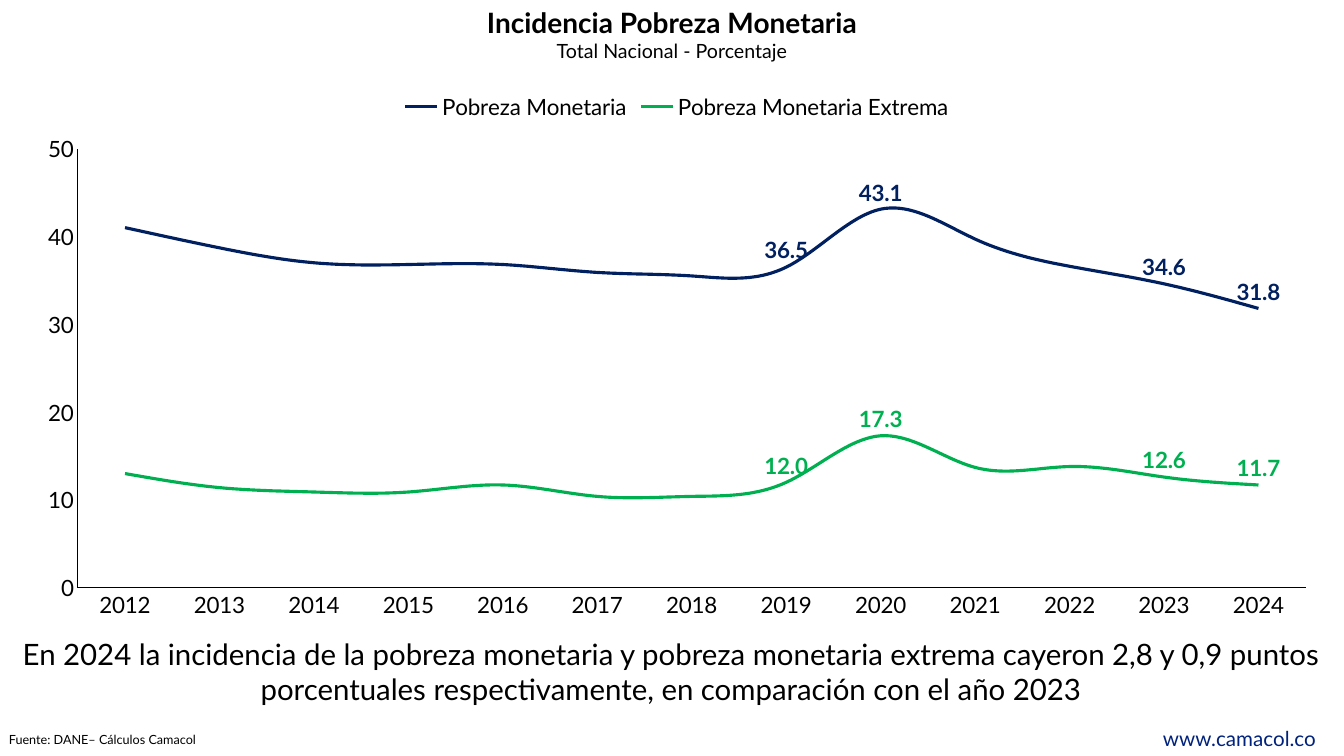
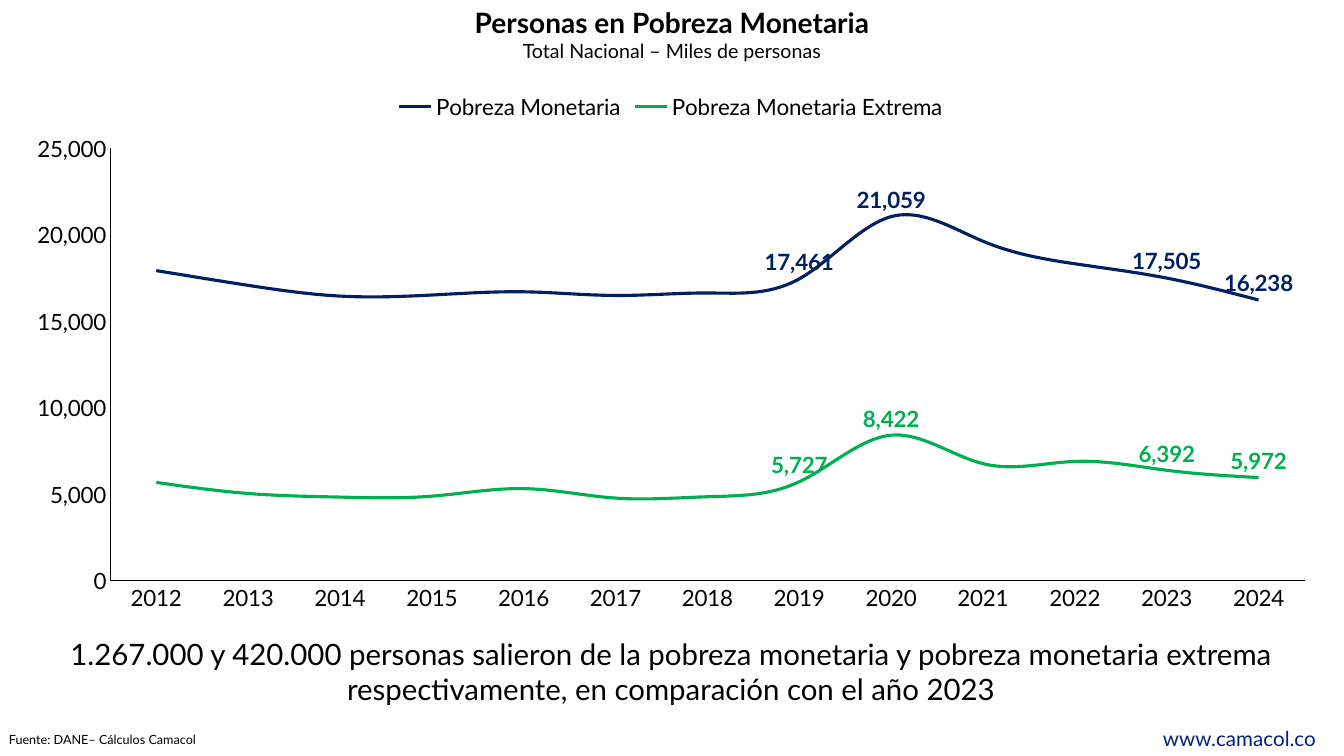
from pptx import Presentation
from pptx.chart.data import CategoryChartData
from pptx.dml.color import RGBColor
from pptx.enum.chart import XL_CHART_TYPE, XL_LABEL_POSITION, XL_LEGEND_POSITION, XL_TICK_MARK
from pptx.enum.text import MSO_ANCHOR, MSO_AUTO_SIZE, PP_ALIGN
from pptx.util import Emu, Pt

LINE = XL_CHART_TYPE.LINE
ABOVE = XL_LABEL_POSITION.ABOVE
LEGEND_TOP = XL_LEGEND_POSITION.TOP
NO_TICK = XL_TICK_MARK.NONE
ANCHOR_TOP = MSO_ANCHOR.TOP
FIT_SHAPE = MSO_AUTO_SIZE.SHAPE_TO_FIT_TEXT
LEFT, CENTER, RIGHT = PP_ALIGN.LEFT, PP_ALIGN.CENTER, PP_ALIGN.RIGHT

EMU_PER_PX = 914400 / 100.8
WIDTH, HEIGHT = 1344, 756
TITLE_ONLY = 5
FONT = "Lato"
COLORS = {"text": "000000", "web": "00227C", "poverty": "002060", "extreme": "00B050"}
YEARS = [str(year) for year in range(2012, 2025)]
LABELLED_YEARS = ["2019", "2020", "2023", "2024"]
SERIES = [("Pobreza Monetaria", "poverty"), ("Pobreza Monetaria Extrema", "extreme")]

SLIDES = [
    {
        "title": "Incidencia Pobreza Monetaria",
        "subtitle": "Total Nacional - Porcentaje",
        "message": "En 2024 la incidencia de la pobreza monetaria y pobreza monetaria extrema "
                   "cayeron 2,8 y 0,9 puntos porcentuales respectivamente, "
                   "en comparación con el año 2023",
        "area": (22, 82, 1310, 547),
        "axis": (50, 10, "0"),
        "value_format": "0.0",
        "values": [
            [41, 38.7, 37, 36.8, 36.8, 35.9, 35.5, 36.5, 43.1, 39.7, 36.6, 34.6, 31.8],
            [13, 11.4, 10.9, 10.9, 11.7, 10.4, 10.4, 12, 17.3, 13.7, 13.8, 12.6, 11.7],
        ],
    },
    {
        "title": "Personas en Pobreza Monetaria",
        "subtitle": "Total Nacional – Miles de personas",
        "message": "1.267.000 y 420.000 personas salieron de la pobreza monetaria y pobreza "
                   "monetaria extrema respectivamente, en comparación con el año 2023",
        "area": (11, 82, 1320, 540),
        "axis": (25000, 5000, "#,##0"),
        "value_format": "#,##0",
        "values": [
            [17938, 17086, 16465, 16526, 16712, 16500, 16644,
             17461, 21059, 19634, 18332, 17505, 16238],
            [5690, 5051, 4842, 4896, 5332, 4784, 4863,
             5727, 8422, 6774, 6905, 6392, 5972],
        ],
    },
]


def px(length):
    return Emu(round(length * EMU_PER_PX))


class DeckBuilder:
    def __init__(self):
        self.deck = Presentation()
        self.deck.slide_width, self.deck.slide_height = px(WIDTH), px(HEIGHT)
        self.slide = None

    def add_slide(self):
        self.slide = self.deck.slides.add_slide(self.deck.slide_layouts[TITLE_ONLY])

    def style_font(self, font, size, color="text", bold=False):
        font.name, font.size, font.bold = FONT, Pt(size), bold
        font.color.rgb = RGBColor.from_string(COLORS[color])

    def style_line(self, line, color, width):
        line.color.rgb = RGBColor.from_string(COLORS[color])
        line.width = Pt(width)

    def title(self, heading, subtitle):
        box = self.slide.shapes.title
        box.left, box.top, box.width, box.height = map(px, (0, 0, WIDTH, 68))
        frame = box.text_frame
        frame.text = f"{heading}\n{subtitle}"
        frame.vertical_anchor, frame.auto_size = ANCHOR_TOP, FIT_SHAPE
        for para, size, bold in zip(frame.paragraphs, (20, 14), (True, False)):
            para.alignment = CENTER
            self.style_font(para.font, size, bold=bold)

    def text(self, area, words, size, align, color="text", flush=False, spacing=None):
        frame = self.slide.shapes.add_textbox(*map(px, area)).text_frame
        frame.word_wrap, frame.auto_size = True, FIT_SHAPE
        if flush:
            frame.margin_left = frame.margin_right = 0
            frame.margin_top = frame.margin_bottom = 0
        para = frame.paragraphs[0]
        para.text, para.alignment = words, align
        para.line_spacing = spacing
        self.style_font(para.font, size, color)

    def footer(self):
        self.text((-1, 727, 1188, 25), "Fuente: DANE– Cálculos Camacol", 9, LEFT)
        self.text((1156, 721, 160, 30), "www.camacol.co", 14.7, RIGHT, "web",
                  flush=True, spacing=1.2)

    def line_chart(self, area, axis, value_format, values):
        data = CategoryChartData(number_format=value_format)
        data.categories = YEARS
        for (name, _), numbers in zip(SERIES, values):
            data.add_series(name, numbers)
        chart = self.slide.shapes.add_chart(LINE, *map(px, area), data).chart
        chart.has_title = False
        self.style_font(chart.font, 16)
        chart.has_legend = True
        chart.legend.position = LEGEND_TOP
        chart.legend.include_in_layout = False
        self.style_font(chart.legend.font, 16)
        self.axes(chart, *axis)
        chart.plots[0].vary_by_categories = False
        for series, (_, color) in zip(chart.plots[0].series, SERIES):
            self.series(series, color)

    def axes(self, chart, maximum, step, number_format):
        for axis in (chart.category_axis, chart.value_axis):
            axis.major_tick_mark = axis.minor_tick_mark = NO_TICK
            axis.has_major_gridlines = False
            self.style_font(axis.tick_labels.font, 16)
            self.style_line(axis.format.line, "text", 0.75)
        scale = chart.value_axis
        scale.minimum_scale, scale.maximum_scale, scale.major_unit = 0, maximum, step
        scale.tick_labels.number_format = number_format
        scale.tick_labels.number_format_is_linked = False

    def series(self, series, color):
        series.smooth = True
        self.style_line(series.format.line, color, 2.25)
        series.data_labels.show_value = False
        for year in LABELLED_YEARS:
            label = series.points[YEARS.index(year)].data_label
            self.style_font(label.font, 16, color, bold=True)
            label.position = ABOVE


def main():
    builder = DeckBuilder()
    for content in SLIDES:
        builder.add_slide()
        builder.title(content["title"], content["subtitle"])
        builder.footer()
        builder.text((11, 631, 1320, 82), content["message"], 21, CENTER)
        builder.line_chart(content["area"], content["axis"],
                           content["value_format"], content["values"])
    builder.deck.save("out.pptx")


if __name__ == "__main__":
    main()
